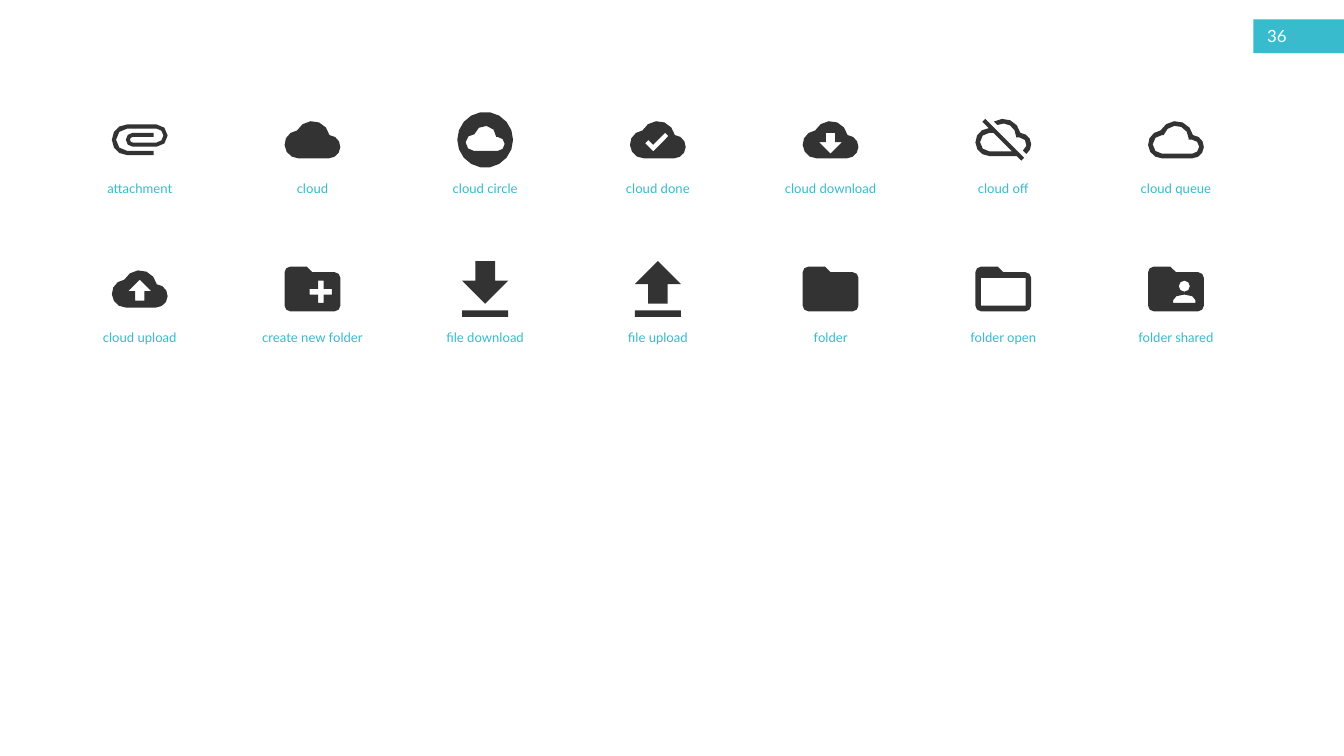
"""Build a slide with a labelled grid of file and cloud icons."""
from math import cos, radians, sin

from pptx import Presentation
from pptx.dml.color import RGBColor
from pptx.enum.shapes import MSO_SHAPE as Shape
from pptx.enum.text import MSO_ANCHOR as Anchor, MSO_AUTO_SIZE as Fit, PP_ALIGN as Align
from pptx.util import Inches, Pt

TEAL, DARK, WHITE = "37BBCD", "333333", "FFFFFF"
COLUMNS = 7
FIRST_X, FIRST_Y = 2.08, 2.08
COLUMN_STEP, ROW_STEP = 2.57, 2.22
ICON_SIZE = 0.83
LABEL_WIDTH, LABEL_HEIGHT, LABEL_DROP = 2.78, 0.34, 0.56
PRECISION = 100

deck = Presentation()
deck.slide_width, deck.slide_height = Inches(20), Inches(11.25)
page = deck.slides.add_slide(deck.slide_layouts[6])


def write(text, left, top, width, height, size=14, color=TEAL,
          align=Align.CENTER, anchor=Anchor.TOP, fit=Fit.SHAPE_TO_FIT_TEXT):
    """Add a text box with one formatted line."""
    box = page.shapes.add_textbox(Inches(left), Inches(top), Inches(width), Inches(height))
    frame = box.text_frame
    frame.word_wrap, frame.auto_size, frame.vertical_anchor = True, fit, anchor
    para = frame.paragraphs[0]
    para.alignment = align
    span = para.add_run()
    span.text = text
    span.font.name, span.font.size = "Lato", Pt(size)
    span.font.color.rgb = RGBColor.from_string(color)


def arc(x, y, radius, start, end, height=None):
    """Return points along an arc, with angles in degrees clockwise from the right."""
    turn = 20 if radius > 8 else 30 if radius > 4 else 45
    steps = max(2, round(abs(end - start) / turn))
    angles = [radians(start + (end - start) * step / steps) for step in range(steps + 1)]
    return [(x + radius * cos(a), y + (height or radius) * sin(a)) for a in angles]


cloud = arc(12, 11.5, 7.5, 207.5, 349) + arc(19, 15, 5, -86, 90) + arc(6, 14, 6, 90, 264)
cloud_hole = (arc(12, 11.5, 5.5, 196, 360) + [(17.5, 12)]
              + arc(19, 15, 3, -90, 90) + arc(6, 14, 4, 90, 270))
small_cloud = arc(12, 11, 4, 194.5, 360) + arc(16.5, 13.5, 2.5, -90, 90) + arc(8, 13, 3, 90, 273)
disc = arc(12, 12, 10, 0, 360)
check = [(10, 17), (6.5, 13.5), (7.91, 12.09), (10, 14.17), (15.18, 9), (16.59, 10.41)]
cloud_down = [(17, 13), (12, 18), (7, 13), (10, 13), (10, 9), (14, 9), (14, 13)]
cloud_up = [(14, 13), (14, 17), (10, 17), (10, 13), (7, 13), (12, 8), (17, 13)]
cut_cloud = (arc(12, 11.5, 7.5, 237.6, 349) + arc(19, 15, 5, -86, 54.6)
             + arc(19, 15, 3, 61, -90) + [(17.5, 12)] + arc(12, 11.5, 5.5, 0, -117.6))
slash = ([(3, 5.27), (5.75, 8.01)] + arc(6, 14, 6, 267, 90)
         + [(17.73, 20), (19.73, 22), (21, 20.73), (4.27, 4)])
slash_hole = [(7.73, 10), (15.73, 18)] + arc(6, 14, 4, 90, 270)
clip = (arc(7.5, 12.5, 5.5, 90, 270) + arc(18, 11, 4, -90, 90)
        + arc(9.5, 12.5, 2.5, 90, 270) + [(17, 10), (17, 11.5)]
        + arc(9.5, 12.5, 1, 270, 90) + arc(18, 11, 2.5, 90, -90)
        + arc(7.5, 12.5, 4, 270, 90) + [(17, 16.5), (17, 18)])
folder = (arc(4, 6, 2, 180, 270) + [(10, 4), (12, 6)] + arc(20, 8, 2, -90, 0)
          + arc(20, 18, 2, 0, 90) + arc(4, 18, 2, 90, 180))
folder_hole = [(4, 8), (20, 8), (20, 18), (4, 18)]
plus = [(19, 14), (16, 14), (16, 17), (14, 17), (14, 14), (11, 14),
        (11, 12), (14, 12), (14, 9), (16, 9), (16, 12), (19, 12)]
head = arc(15, 11, 2, 0, 360)
shoulders = [(11, 17)] + arc(15, 16, 4, 180, 360, height=2) + [(19, 17)]
arrow_down = [(19, 9), (15, 9), (15, 3), (9, 3), (9, 9), (5, 9), (12, 16)]
arrow_up = [(9, 16), (15, 16), (15, 10), (19, 10), (12, 3), (5, 10), (9, 10)]
tray = [(5, 18), (19, 18), (19, 20), (5, 20)]

icons = {
    "attachment": [clip],
    "cloud": [cloud],
    "cloud circle": [disc, small_cloud],
    "cloud done": [cloud, check],
    "cloud download": [cloud, cloud_down],
    "cloud off": [cut_cloud, slash, slash_hole],
    "cloud queue": [cloud, cloud_hole],
    "cloud upload": [cloud, cloud_up],
    "create new folder": [folder, plus],
    "file download": [arrow_down, tray],
    "file upload": [arrow_up, tray],
    "folder": [folder],
    "folder open": [folder, folder_hole],
    "folder shared": [folder, head, shoulders],
}

badge = page.shapes.add_shape(Shape.RECTANGLE, Inches(18.65), Inches(0.29), Inches(1.35), Inches(0.5))
badge.shadow.inherit = False
badge.fill.solid()
badge.fill.fore_color.rgb = RGBColor.from_string(TEAL)
badge.line.fill.background()

for index, (label, outlines) in enumerate(icons.items()):
    row, column = divmod(index, COLUMNS)
    center_x = FIRST_X + column * COLUMN_STEP
    center_y = FIRST_Y + row * ROW_STEP
    write(label, center_x - LABEL_WIDTH / 2, center_y + LABEL_DROP, LABEL_WIDTH, LABEL_HEIGHT)

    xs, ys = zip(*(point for outline in outlines for point in outline))
    unit = ICON_SIZE / max(max(xs) - min(xs), max(ys) - min(ys))
    scaled = [[(x * PRECISION, y * PRECISION) for x, y in outline] for outline in outlines]
    builder = page.shapes.build_freeform(*scaled[0][0], scale=Inches(unit) / PRECISION)
    builder.add_line_segments(scaled[0][1:], close=True)
    for outline in scaled[1:]:
        builder.move_to(*outline[0])
        builder.add_line_segments(outline[1:], close=True)
    icon = builder.convert_to_shape()
    icon.left = Inches(center_x) - icon.width // 2
    icon.top = Inches(center_y) - icon.height // 2
    icon.shadow.inherit = False
    icon.fill.solid()
    icon.fill.fore_color.rgb = RGBColor.from_string(DARK)
    icon.line.fill.background()

write("36", 18.76, 0.28, 0.67, 0.5, size=18, color=WHITE,
      align=Align.LEFT, anchor=Anchor.MIDDLE, fit=Fit.NONE)

deck.save("out.pptx")
